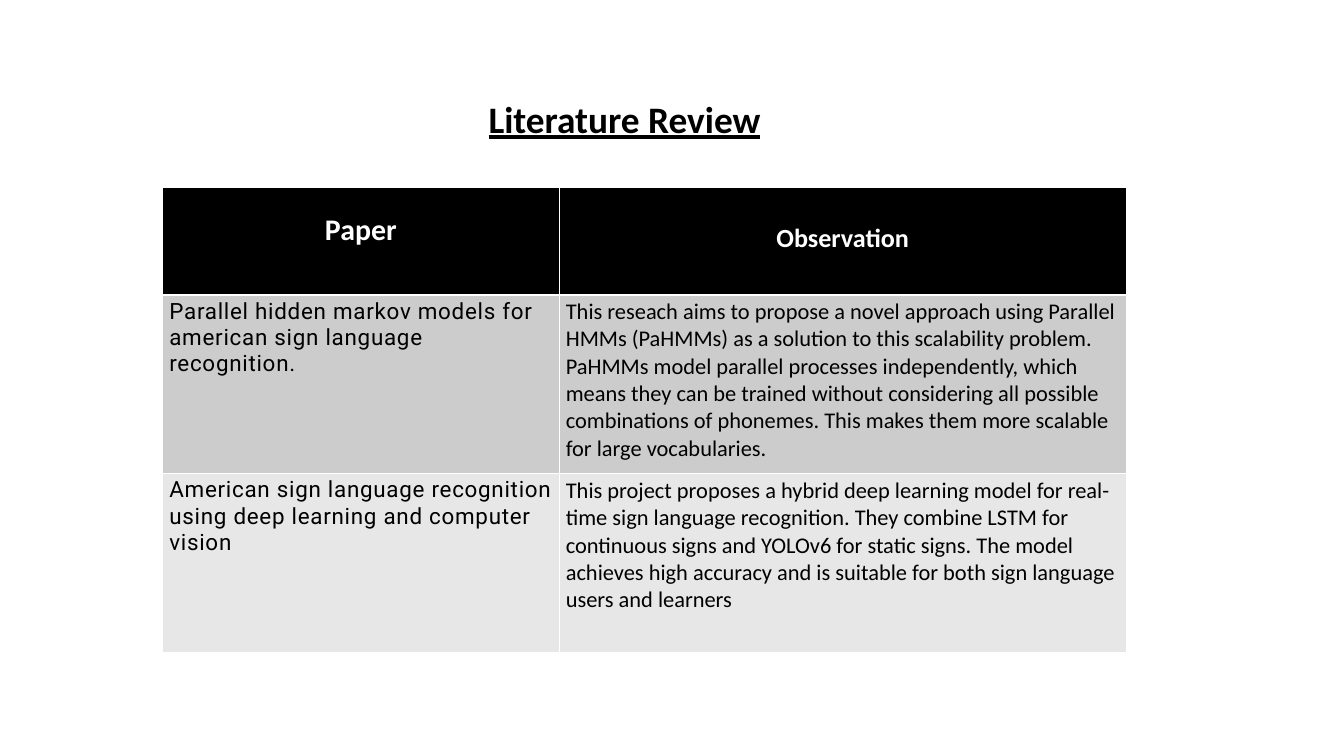
"""Build the literature review slide with its table of papers and observations."""
from dataclasses import dataclass

from lxml import etree
from pptx import Presentation
from pptx.dml.color import RGBColor
from pptx.enum.text import MSO_ANCHOR, MSO_AUTO_SIZE, PP_ALIGN
from pptx.oxml.ns import qn
from pptx.util import Inches, Pt

TOP = MSO_ANCHOR.TOP
LEFT, CENTER = PP_ALIGN.LEFT, PP_ALIGN.CENTER
FIT_SHAPE = MSO_AUTO_SIZE.SHAPE_TO_FIT_TEXT


@dataclass(frozen=True)
class Theme:
    ink: str = "000000"
    paper: str = "FFFFFF"
    bands: tuple = ("CCCCCC", "E7E7E7")
    body_font: str = "Calibri"
    paper_font: str = "Roboto"
    title_size: int = 40
    body_size: int = 24
    rule: int = 1
    header_rule: int = 3


@dataclass(frozen=True)
class TextStyle:
    font: str
    size: int
    color: str
    bold: bool = False
    underline: bool = False
    tracking: float = 0
    align: PP_ALIGN = LEFT


@dataclass(frozen=True)
class Heading:
    text: str
    size: int
    top_margin: float


@dataclass(frozen=True)
class Review:
    paper: str
    observation: str


THEME = Theme()
TITLE_STYLE = TextStyle(THEME.body_font, THEME.title_size, THEME.ink, bold=True, underline=True)
PAPER_STYLE = TextStyle(THEME.paper_font, THEME.body_size, THEME.ink, tracking=0.8)
OBSERVATION_STYLE = TextStyle(THEME.body_font, THEME.body_size, THEME.ink)

COLUMN_WIDTHS = (5.9, 8.44)
ROW_HEIGHTS = (1.6, 2.66, 2.66)
HEADINGS = (Heading("Paper", 32, 0.36), Heading("Observation", 28, 0.52))
REVIEWS = (
    Review(
        "Parallel hidden markov models for american sign language recognition.",
        "This reseach aims to propose a novel approach using Parallel HMMs (PaHMMs) as a "
        "solution to this scalability problem. PaHMMs model parallel processes independently, "
        "which means they can be trained without considering all possible combinations of "
        "phonemes. This makes them more scalable for large vocabularies.",
    ),
    Review(
        "American sign language recognition using deep learning and computer vision",
        "This project proposes a hybrid deep learning model for real-time sign language "
        "recognition. They combine LSTM for continuous signs and YOLOv6 for static signs. "
        "The model achieves high accuracy and is suitable for both sign language "
        "users and learners",
    ),
)


def write(text_frame, text: str, style: TextStyle) -> None:
    paragraph = text_frame.paragraphs[0]
    paragraph.alignment = style.align
    run = paragraph.add_run()
    run.text = text
    font = run.font
    font.name, font.size = style.font, Pt(style.size)
    font.bold, font.underline = style.bold, style.underline
    font.color.rgb = RGBColor.from_string(style.color)
    if style.tracking:
        run._r.get_or_add_rPr().set("spc", str(round(style.tracking * 100)))


def set_borders(cell, top: int, bottom: int) -> None:
    properties = cell._tc.get_or_add_tcPr()
    widths = {"lnL": THEME.rule, "lnR": THEME.rule, "lnT": top, "lnB": bottom}
    for side, width in widths.items():
        line = etree.SubElement(properties, qn(f"a:{side}"), w=str(Pt(width)))
        fill = etree.SubElement(line, qn("a:solidFill"))
        etree.SubElement(fill, qn("a:srgbClr"), val=THEME.paper)


def fill_cell(cell, text: str, style: TextStyle, color: str, top: int, bottom: int) -> None:
    set_borders(cell, top, bottom)
    cell.fill.solid()
    cell.fill.fore_color.rgb = RGBColor.from_string(color)
    cell.vertical_anchor = TOP
    write(cell.text_frame, text, style)


def add_title(slide) -> None:
    title = slide.shapes.title
    title.left, title.top = Inches(7.17), Inches(1.38)
    title.width, title.height = Inches(5.17), Inches(0.77)
    frame = title.text_frame
    frame.word_wrap = True
    frame.auto_size = FIT_SHAPE
    frame.vertical_anchor = TOP
    write(frame, "Literature Review", TITLE_STYLE)


def add_review_table(slide) -> None:
    table = slide.shapes.add_table(
        len(ROW_HEIGHTS), len(COLUMN_WIDTHS), Inches(2.42), Inches(2.79),
        Inches(sum(COLUMN_WIDTHS)), Inches(sum(ROW_HEIGHTS)),
    ).table
    for column, width in zip(table.columns, COLUMN_WIDTHS):
        column.width = Inches(width)
    for row, height in zip(table.rows, ROW_HEIGHTS):
        row.height = Inches(height)

    for index, heading in enumerate(HEADINGS):
        cell = table.cell(0, index)
        style = TextStyle(THEME.body_font, heading.size, THEME.paper, bold=True, align=CENTER)
        fill_cell(cell, heading.text, style, THEME.ink, THEME.rule, THEME.header_rule)
        cell.margin_top = Inches(heading.top_margin)

    for index, (review, band) in enumerate(zip(REVIEWS, THEME.bands), start=1):
        top = THEME.header_rule if index == 1 else THEME.rule
        fill_cell(table.cell(index, 0), review.paper, PAPER_STYLE, band, top, THEME.rule)
        fill_cell(table.cell(index, 1), review.observation, OBSERVATION_STYLE, band, top, THEME.rule)


def main() -> None:
    presentation = Presentation()
    presentation.slide_width, presentation.slide_height = Inches(20), Inches(11.25)
    slide = presentation.slides.add_slide(presentation.slide_layouts[5])
    add_title(slide)
    add_review_table(slide)
    presentation.save("out.pptx")


if __name__ == "__main__":
    main()
